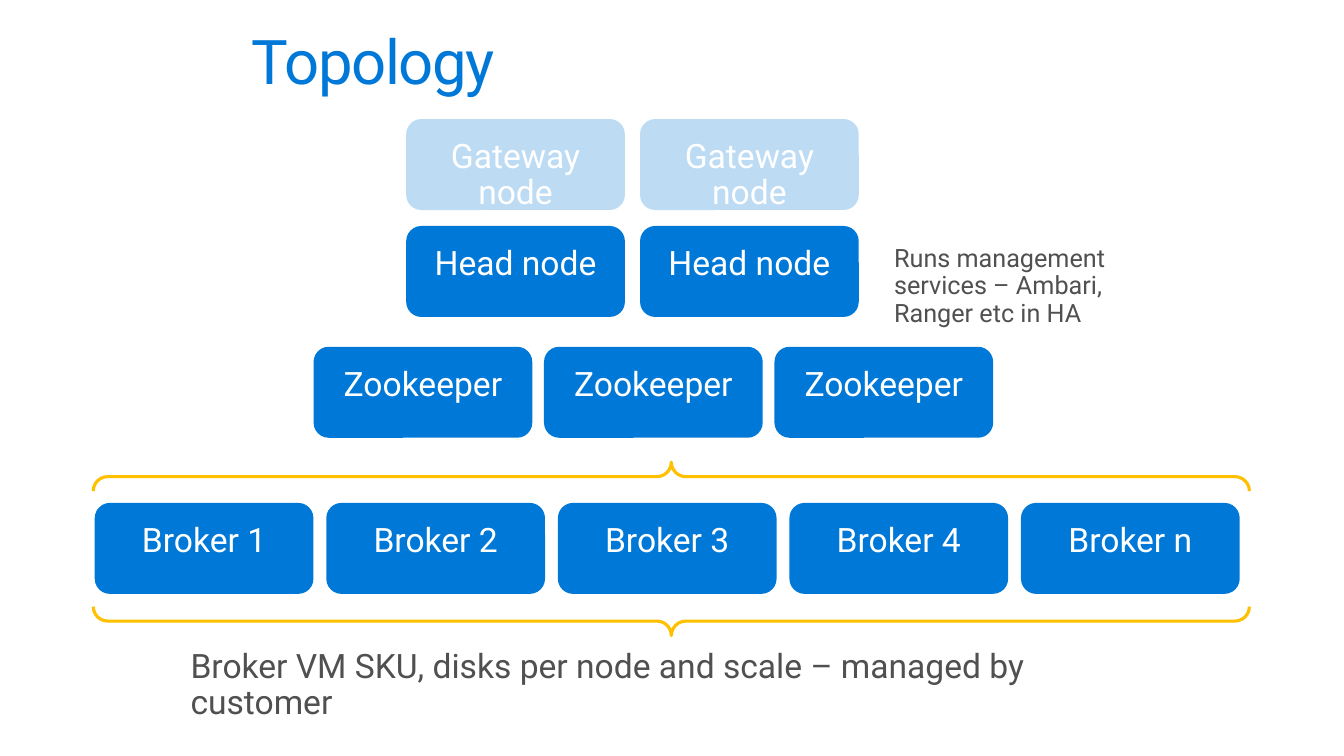
from lxml import etree
from pptx import Presentation
from pptx.dml.color import RGBColor
from pptx.enum.shapes import MSO_SHAPE
from pptx.enum.text import MSO_ANCHOR, MSO_AUTO_SIZE, PP_ALIGN
from pptx.oxml.ns import qn
from pptx.util import Pt

ROUNDED = MSO_SHAPE.ROUNDED_RECTANGLE
RECTANGLE = MSO_SHAPE.RECTANGLE
BRACES = MSO_SHAPE.DOUBLE_BRACE
TOP = MSO_ANCHOR.TOP
NO_AUTOFIT = MSO_AUTO_SIZE.NONE
GROW = MSO_AUTO_SIZE.SHAPE_TO_FIT_TEXT
LEFT, CENTER = PP_ALIGN.LEFT, PP_ALIGN.CENTER

FONT = "Roboto"
BLUE, WHITE, GRAY, GOLD = "0078D7", "FFFFFF", "505050", "FFC000"
NODE_WIDTH, NODE_HEIGHT = 156.24, 65

# Labels, left of the first node, top of the row, distance between lefts
NODE_ROWS = [
    (["Head node"] * 2, 290.16, 161.4, 167.04),
    (["Zookeeper"] * 3, 224, 247.7, 164.6),
    (["Broker 1", "Broker 2", "Broker 3", "Broker 4", "Broker n"],
     67.7, 359.2, 165.4),
]
GATEWAY_ROW = (["Gateway node"] * 2, 290.16, 85, 167.04)


def rgb(hex_color):
    return RGBColor.from_string(hex_color)


def write(frame, text, size, color, align=LEFT, insets=(14.4, 11.52), after=0):
    frame.word_wrap = True
    frame.vertical_anchor = TOP
    frame.margin_left = frame.margin_right = Pt(insets[0])
    frame.margin_top = frame.margin_bottom = Pt(insets[1])
    frame.text = text
    paragraph = frame.paragraphs[0]
    paragraph.alignment = align
    paragraph.line_spacing = 0.9
    paragraph.space_before = Pt(0)
    paragraph.space_after = Pt(after)
    font = paragraph.runs[0].font
    font.name, font.size = FONT, Pt(size)
    font.color.rgb = rgb(color)


def add_title(slide, text):
    title = slide.shapes.title
    title.left, title.top = Pt(168.48), Pt(15.12)
    title.width, title.height = Pt(768.96), Pt(70.56)
    title.text_frame.auto_size = NO_AUTOFIT
    write(title.text_frame, text, 44, BLUE, insets=(11.52, 7.2))
    # Tighten the letters by one point
    title.text_frame.paragraphs[0].runs[0].font._element.set("spc", "-100")


def add_filled(slide, kind, left, top, width, height, color):
    shape = slide.shapes.add_shape(
        kind, Pt(left), Pt(top), Pt(width), Pt(height))
    shape.shadow.inherit = False
    shape.fill.solid()
    shape.fill.fore_color.rgb = rgb(color)
    shape.line.fill.background()
    return shape


def add_node_row(slide, labels, left, top, pitch):
    for column, label in enumerate(labels):
        node = add_filled(slide, ROUNDED, left + column * pitch, top,
                          NODE_WIDTH, NODE_HEIGHT, BLUE)
        write(node.text_frame, label, 24, WHITE, CENTER)


def add_note(slide, text, left, top, width, height, size):
    note = slide.shapes.add_textbox(Pt(left), Pt(top), Pt(width), Pt(height))
    write(note.text_frame, text, size, GRAY, after=6)
    note.text_frame.auto_size = GROW


def add_broker_braces(slide):
    """Upright brace pair, turned to lie above and below the brokers."""
    braces = slide.shapes.add_shape(
        BRACES, Pt(417.6), Pt(-20.88), Pt(123.84), Pt(825.84))
    braces.rotation = 90
    braces.shadow.inherit = False
    braces.fill.background()
    braces.line.color.rgb = rgb(GOLD)
    braces.line.width = Pt(2.25)


def add_veil(slide):
    """Translucent white sheet that fades the gateway nodes."""
    veil = add_filled(slide, RECTANGLE, 262.8, 71.28, 388.08, 87.12, WHITE)
    color = veil._element.spPr.find(qn("a:solidFill")).find(qn("a:srgbClr"))
    etree.SubElement(color, qn("a:alpha")).set("val", "74000")


def main():
    deck = Presentation()
    deck.slide_width, deck.slide_height = Pt(960), Pt(540)
    slide = deck.slides.add_slide(deck.slide_layouts[5])
    add_title(slide, "Topology")
    for row in NODE_ROWS:
        add_node_row(slide, *row)
    add_note(slide, "Runs management services – Ambari, Ranger etc in HA",
             624.24, 164.16, 236.16, 62.64, 18)
    add_broker_braces(slide)
    add_note(slide,
             "Broker VM SKU, disks per node and scale – managed by customer",
             121.68, 452.16, 671.04, 49.68, 24)
    add_node_row(slide, *GATEWAY_ROW)
    add_veil(slide)
    deck.save("out.pptx")


if __name__ == "__main__":
    main()
